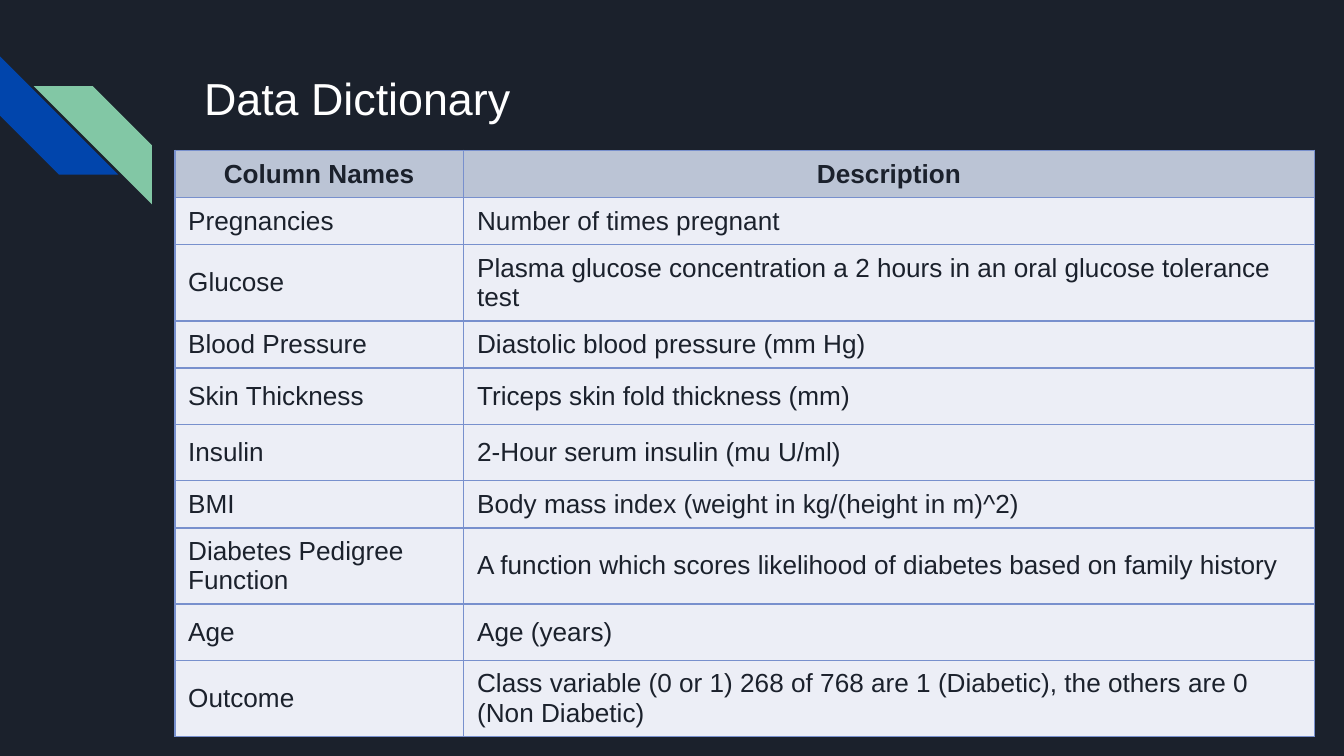
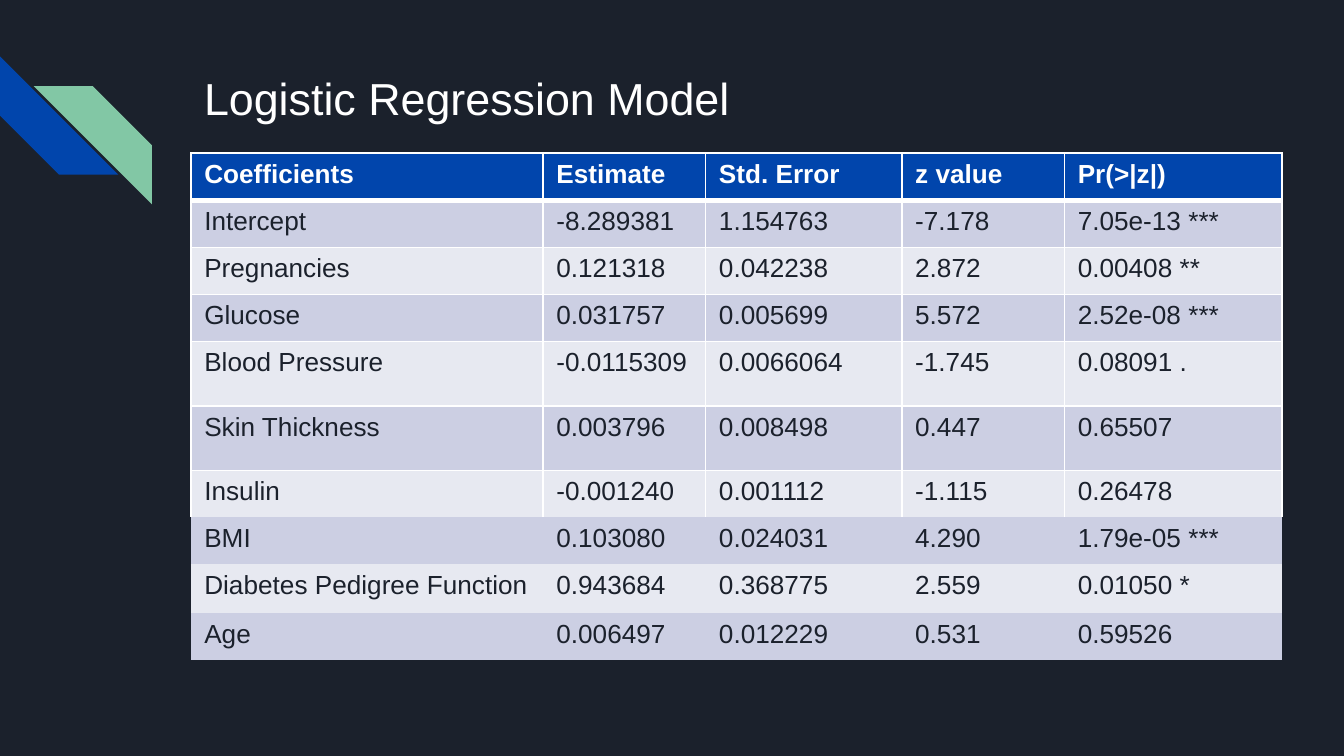
from dataclasses import dataclass
from typing import Callable, NamedTuple

from lxml.etree import SubElement
from pptx import Presentation
from pptx.dml.color import RGBColor
from pptx.enum.shapes import MSO_SHAPE
from pptx.enum.text import MSO_ANCHOR, PP_ALIGN
from pptx.oxml.ns import qn
from pptx.util import Emu, Inches, Pt

GRID_STEP = Inches(0.1)  # the slide is a grid of 100 columns by 56.25 rows
GRID_COLS, GRID_ROWS = 100, 56.25
NO_STYLE_ID = "{2D5ABB26-0587-4C30-8999-92F81FD0307C}"


@dataclass(frozen=True)
class Theme:
    font: str = "Arial"
    title_size: int = 24
    table_size: int = 14
    dark: str = "1B212C"
    white: str = "FFFFFF"
    blue: str = "0145AC"
    green: str = "82C7A5"
    grid_line: str = "7890CD"
    dictionary_head: str = "BBC4D5"
    dictionary_body: str = "ECEEF6"
    model_odd: str = "CCCFE3"
    model_even: str = "E7E9F1"
    thin: int = 1
    thick: int = 3


THEME = Theme()


class Box(NamedTuple):
    col: float
    row: float
    cols: float
    rows: float


class Stripe(NamedTuple):
    box: Box
    color: str
    rotation: int = 0
    flipped: bool = False


class Edges(NamedTuple):
    """Border widths in points; 0 draws no line."""
    L: int = THEME.thin
    R: int = THEME.thin
    T: int = THEME.thin
    B: int = THEME.thin


@dataclass(frozen=True)
class TableSpec:
    col: float
    row: float
    widths: list[float]
    heights: list[float]
    cells: list[tuple[str, ...]]
    head_fill: str
    head_color: str
    body_fills: tuple[str, ...]
    line_color: str
    edges: Callable[[int], Edges]
    anchor: MSO_ANCHOR = MSO_ANCHOR.TOP
    head_align: PP_ALIGN = PP_ALIGN.LEFT


TITLE_BOX = Box(14.2, 4.3, 77, 10)
STRIPES = [
    Stripe(Box(0, 4.2, 8.8, 8.8), THEME.blue, rotation=270),
    Stripe(Box(2.5, 6.4, 8.8, 8.8), THEME.green, flipped=True),
]


def model_edges(row: int) -> Edges:
    """Thick rule under the heading; no lines from BMI down."""
    if row == 0:
        return Edges(B=THEME.thick)
    if row == 1:
        return Edges(T=THEME.thick)
    if row == 6:
        return Edges(B=0)
    return Edges() if row < 6 else Edges(0, 0, 0, 0)


DICTIONARY = TableSpec(
    col=13, row=11.2,
    widths=[21.5, 63.3],
    heights=[3.5, 3.5, 4.2, 3.5, 4.2, 4.2, 3.5, 5.3, 4.2, 3.5],
    cells=[
        ("Column Names", "Description"),
        ("Pregnancies", "Number of times pregnant"),
        ("Glucose", "Plasma glucose concentration a 2 hours in an oral glucose tolerance test"),
        ("Blood Pressure", "Diastolic blood pressure (mm Hg)"),
        ("Skin Thickness", "Triceps skin fold thickness (mm)"),
        ("Insulin", "2-Hour serum insulin (mu U/ml)"),
        ("BMI", "Body mass index (weight in kg/(height in m)^2)"),
        ("Diabetes Pedigree Function",
         "A function which scores likelihood of diabetes based on family history"),
        ("Age", "Age (years)"),
        ("Outcome",
         "Class variable (0 or 1) 268 of 768 are 1 (Diabetic), the others are 0 (Non Diabetic)"),
    ],
    head_fill=THEME.dictionary_head,
    head_color=THEME.dark,
    body_fills=(THEME.dictionary_body,),
    line_color=THEME.grid_line,
    edges=lambda row: Edges(),
    anchor=MSO_ANCHOR.MIDDLE,
    head_align=PP_ALIGN.CENTER,
)

MODEL = TableSpec(
    col=14.2, row=11.4,
    widths=[26.2, 12.1, 14.6, 12.1, 16.2],
    heights=[3.5, 3.5, 3.5, 3.5, 4.8, 4.8, 3.5, 3.5, 3.6, 3.5],
    cells=[
        ("Coefficients", "Estimate", "Std. Error", "z value", "Pr(>|z|)"),
        ("Intercept", "-8.289381", "1.154763", "-7.178", "7.05e-13 ***"),
        ("Pregnancies", "0.121318", "0.042238", "2.872", "0.00408 **"),
        ("Glucose", "0.031757", "0.005699", "5.572", "2.52e-08 ***"),
        ("Blood Pressure", "-0.0115309", "0.0066064", "-1.745", "0.08091 ."),
        ("Skin Thickness", "0.003796", "0.008498", "0.447", "0.65507"),
        ("Insulin", "-0.001240", "0.001112", "-1.115", "0.26478"),
        ("BMI", "0.103080", "0.024031", "4.290", "1.79e-05 ***"),
        ("Diabetes Pedigree Function", "0.943684", "0.368775", "2.559", "0.01050 *"),
        ("Age", "0.006497", "0.012229", "0.531", "0.59526"),
    ],
    head_fill=THEME.blue,
    head_color=THEME.white,
    body_fills=(THEME.model_odd, THEME.model_even),
    line_color=THEME.white,
    edges=model_edges,
)

SLIDES = [("Data Dictionary", DICTIONARY), ("Logistic Regression Model", MODEL)]


def grid(units: float) -> Emu:
    return Emu(round(units * GRID_STEP))


def place(box: Box) -> list[Emu]:
    return [grid(units) for units in box]


def paint(fill, color: str) -> None:
    fill.solid()
    fill.fore_color.rgb = RGBColor.from_string(color)


def write(tf, text: str, size: int, color: str, bold: bool = False,
          align: PP_ALIGN = PP_ALIGN.LEFT) -> None:
    tf.text = text
    p = tf.paragraphs[0]
    p.alignment = align
    for r in p.runs:
        r.font.name = THEME.font
        r.font.size = Pt(size)
        r.font.bold = bold
        r.font.color.rgb = RGBColor.from_string(color)


def add_stripes(slide) -> None:
    group = slide.shapes.add_group_shape()
    for stripe in STRIPES:
        sp = group.shapes.add_shape(MSO_SHAPE.DIAGONAL_STRIPE, *place(stripe.box))
        sp.adjustments[0] = 0.5
        sp.rotation = stripe.rotation
        sp.shadow.inherit = False
        paint(sp.fill, stripe.color)
        sp.line.fill.background()
        if stripe.flipped:
            sp._element.spPr.find(qn("a:xfrm")).set("flipH", "1")


def add_title(slide, text: str) -> None:
    tf = slide.shapes.add_textbox(*place(TITLE_BOX)).text_frame
    tf.word_wrap = True
    tf.margin_left = tf.margin_right = tf.margin_top = tf.margin_bottom = grid(1)
    write(tf, text, THEME.title_size, THEME.white)


def set_borders(cell, edges: Edges, color: str) -> None:
    """Must run before the cell is filled: lines precede the fill in the XML."""
    tc_pr = cell._tc.get_or_add_tcPr()
    for side, width in edges._asdict().items():
        ln = SubElement(tc_pr, qn(f"a:ln{side}"), w=str(Pt(width)))
        if width:
            fill = SubElement(ln, qn("a:solidFill"))
            SubElement(fill, qn("a:srgbClr"), val=color)
        else:
            SubElement(ln, qn("a:noFill"))


def add_table(slide, spec: TableSpec) -> None:
    box = Box(spec.col, spec.row, sum(spec.widths), sum(spec.heights))
    table = slide.shapes.add_table(len(spec.heights), len(spec.widths), *place(box)).table
    table.horz_banding = False
    table._tbl.tblPr.find(qn("a:tableStyleId")).text = NO_STYLE_ID
    for column, width in zip(table.columns, spec.widths):
        column.width = grid(width)
    for i, (row, height, texts) in enumerate(zip(table.rows, spec.heights, spec.cells)):
        row.height = grid(height)
        head = i == 0
        fill = spec.head_fill if head else spec.body_fills[(i - 1) % len(spec.body_fills)]
        for cell, text in zip(row.cells, texts):
            set_borders(cell, spec.edges(i), spec.line_color)
            paint(cell.fill, fill)
            cell.vertical_anchor = spec.anchor
            write(cell.text_frame, text, THEME.table_size,
                  spec.head_color if head else THEME.dark, bold=head,
                  align=spec.head_align if head else PP_ALIGN.LEFT)


def main() -> None:
    prs = Presentation()
    prs.slide_width, prs.slide_height = grid(GRID_COLS), grid(GRID_ROWS)
    paint(prs.slide_master.background.fill, THEME.dark)
    for title, spec in SLIDES:
        slide = prs.slides.add_slide(prs.slide_layouts[6])
        add_stripes(slide)
        add_title(slide, title)
        add_table(slide, spec)
    prs.save("out.pptx")


if __name__ == "__main__":
    main()
